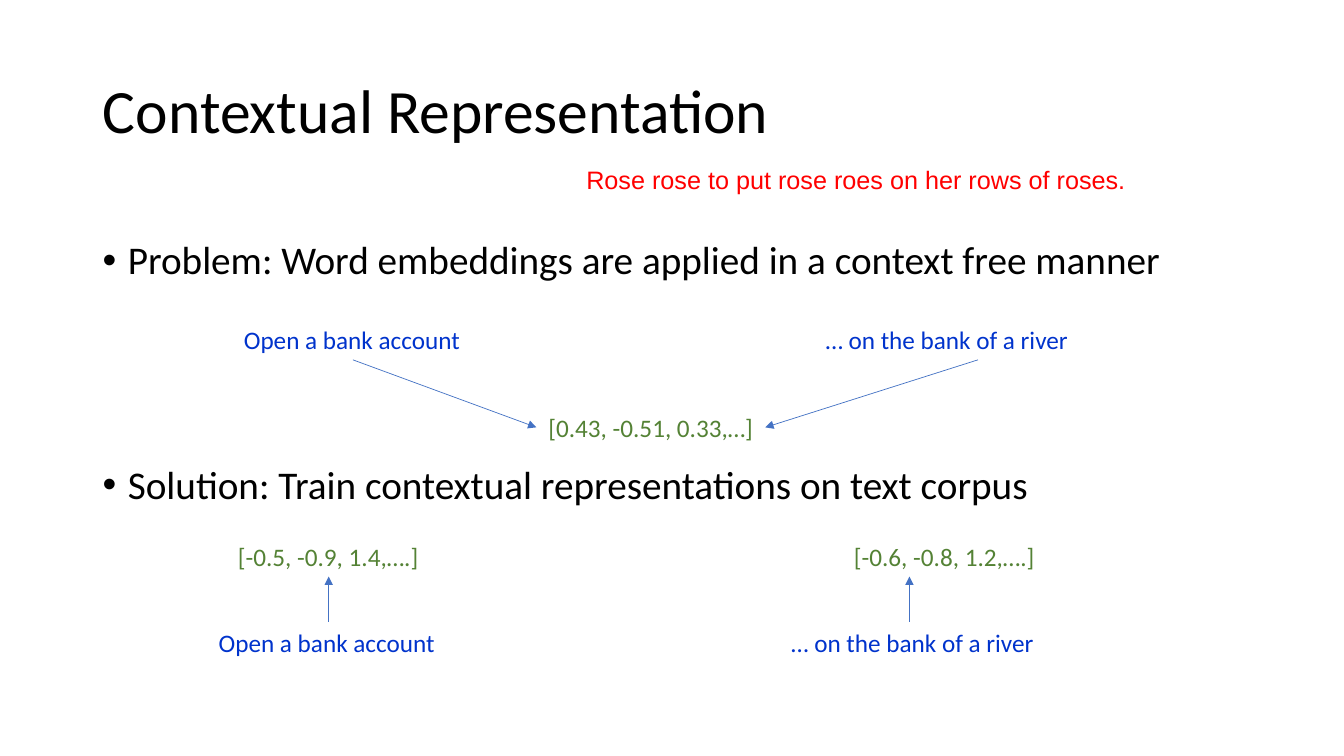
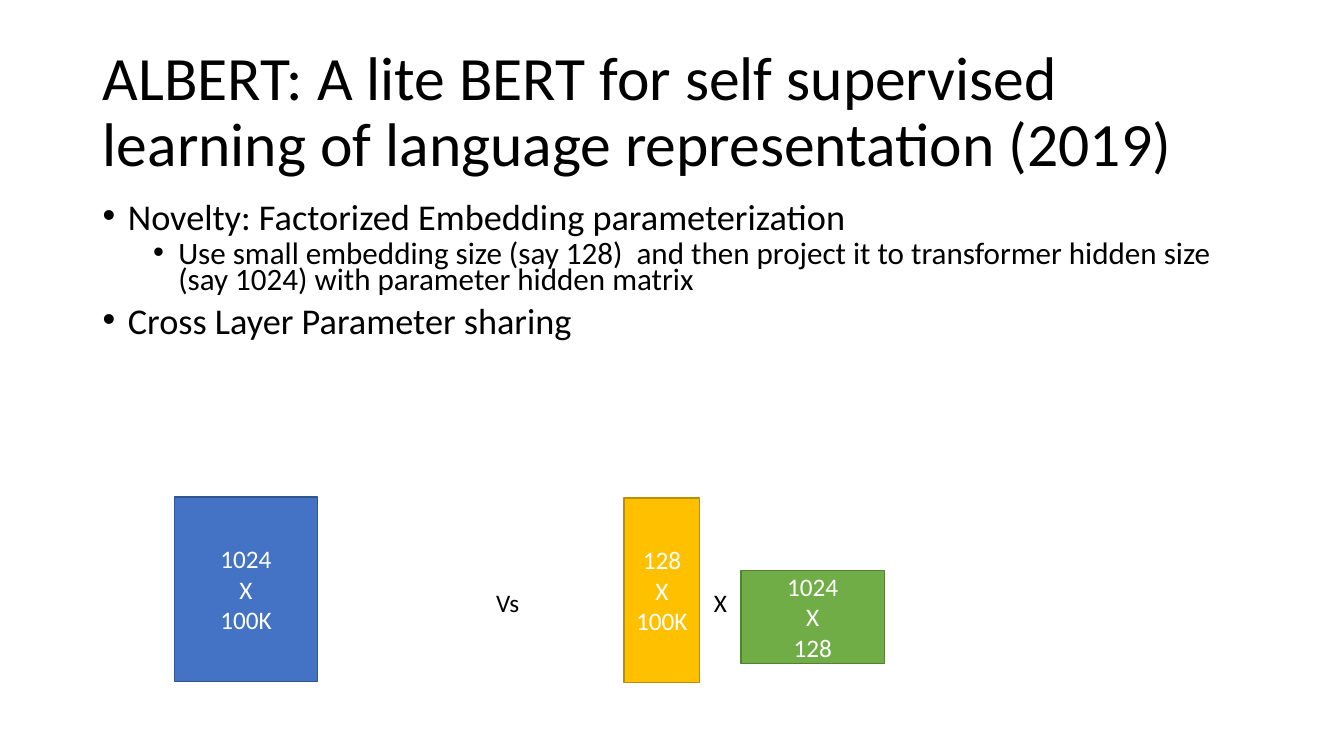
from lxml.etree import SubElement
from pptx import Presentation
from pptx.dml.color import RGBColor
from pptx.enum.shapes import MSO_CONNECTOR, MSO_SHAPE
from pptx.enum.text import MSO_ANCHOR, MSO_AUTO_SIZE, PP_ALIGN
from pptx.oxml.ns import qn
from pptx.util import Inches, Pt

BLACK = RGBColor(0x00, 0x00, 0x00)
WHITE = RGBColor(0xFF, 0xFF, 0xFF)
RED = RGBColor(0xFF, 0x00, 0x00)
PHRASE_BLUE = RGBColor(0x00, 0x33, 0xCC)
VECTOR_GREEN = RGBColor(0x54, 0x82, 0x35)
BLUE = RGBColor(0x44, 0x72, 0xC4)
BLUE_EDGE = RGBColor(0x32, 0x54, 0x91)
GOLD = RGBColor(0xFF, 0xC0, 0x00)
GOLD_EDGE = RGBColor(0xBD, 0x8E, 0x00)
GREEN = RGBColor(0x70, 0xAD, 0x47)
GREEN_EDGE = RGBColor(0x53, 0x80, 0x35)

FONT = "Calibri"
MARGIN, CONTENT_WIDTH = 0.92, 11.5
LABEL_HEIGHT = 0.4
ACCOUNT, ACCOUNT_WIDTH = "Open a bank account", 2.34
RIVER, RIVER_WIDTH = "… on the bank of a river", 2.6


def add_run(p, text, size, color, font=FONT):
    r = p.add_run()
    r.text = text
    r.font.name = font
    r.font.size = Pt(size)
    r.font.color.rgb = color


def add_titled_slide(prs, title):
    s = prs.slides.add_slide(prs.slide_layouts[5])
    sp = s.shapes.title
    sp.left, sp.top = Inches(MARGIN), Inches(0.4)
    sp.width, sp.height = Inches(CONTENT_WIDTH), Inches(1.45)
    tf = sp.text_frame
    tf.auto_size = MSO_AUTO_SIZE.NONE
    tf.word_wrap = True
    tf.vertical_anchor = MSO_ANCHOR.MIDDLE
    p = tf.paragraphs[0]
    p.alignment = PP_ALIGN.LEFT
    p.line_spacing = 0.9
    add_run(p, title, 44, BLACK)
    return s


def add_bullets(s, top, height, items, line_spacing):
    """Each item is (text, level, size, space before in points)."""
    box = s.shapes.add_textbox(Inches(MARGIN), Inches(top),
                               Inches(CONTENT_WIDTH), Inches(height))
    tf = box.text_frame
    tf.word_wrap = True
    for i, (text, level, size, before) in enumerate(items):
        p = tf.add_paragraph() if i else tf.paragraphs[0]
        p.level = level
        p.line_spacing = line_spacing
        p.space_before = Pt(before)
        pPr = p._p.get_or_add_pPr()
        pPr.set("marL", str(Inches(0.25 + 0.5 * level)))
        pPr.set("indent", str(Inches(-0.25)))
        SubElement(pPr, qn("a:buFont")).set("typeface", "Arial")
        SubElement(pPr, qn("a:buChar")).set("char", "•")
        add_run(p, text, size, BLACK)


def add_label(s, left, top, width, text, color, font=FONT):
    """One centred line that may use the full width of its box."""
    box = s.shapes.add_textbox(Inches(left), Inches(top),
                               Inches(width), Inches(LABEL_HEIGHT))
    tf = box.text_frame
    tf.word_wrap = False
    tf.margin_left = tf.margin_right = 0
    p = tf.paragraphs[0]
    p.alignment = PP_ALIGN.CENTER
    add_run(p, text, 18, color, font)


def add_arrow(s, x1, y1, x2, y2):
    line = s.shapes.add_connector(MSO_CONNECTOR.STRAIGHT, Inches(x1), Inches(y1),
                                  Inches(x2), Inches(y2))
    line.line.color.rgb = BLUE
    line.line.width = Pt(0.5)
    spPr = line._element.spPr
    SubElement(spPr.get_or_add_ln(), qn("a:tailEnd")).set("type", "triangle")
    SubElement(spPr, qn("a:effectLst"))


def add_shared_vector(s, left, top):
    """Two phrases pointing at one context-free vector."""
    phrase_bottom = top + LABEL_HEIGHT
    vector_left, vector_top, vector_width = left + 3, top + 0.87, 2.27
    vector_middle = vector_top + LABEL_HEIGHT / 2
    add_label(s, left, top, ACCOUNT_WIDTH, ACCOUNT, PHRASE_BLUE)
    add_label(s, left + 5.77, top, RIVER_WIDTH, RIVER, PHRASE_BLUE)
    add_label(s, vector_left, vector_top, vector_width,
              "[0.43, -0.51, 0.33,…]", VECTOR_GREEN)
    add_arrow(s, left + 1.18, phrase_bottom, vector_left, vector_middle)
    add_arrow(s, left + 7.38, phrase_bottom, vector_left + vector_width, vector_middle)


def add_own_vector(s, left, top, width, phrase, vector, vector_left, arrow_x):
    """A phrase below the contextual vector it points up to."""
    phrase_top = top + 0.85
    add_label(s, vector_left, top, 2.19, vector, VECTOR_GREEN)
    add_label(s, left, phrase_top, width, phrase, PHRASE_BLUE)
    add_arrow(s, arrow_x, phrase_top, arrow_x, top + LABEL_HEIGHT)


def add_matrix(s, left, top, width, height, rows, columns, fill, edge):
    sp = s.shapes.add_shape(MSO_SHAPE.RECTANGLE, Inches(left), Inches(top),
                            Inches(width), Inches(height))
    sp.shadow.inherit = False
    sp.fill.solid()
    sp.fill.fore_color.rgb = fill
    sp.line.color.rgb = edge
    sp.line.width = Pt(1)
    tf = sp.text_frame
    tf.word_wrap = True
    tf.vertical_anchor = MSO_ANCHOR.MIDDLE
    for i, text in enumerate((rows, "X", columns)):
        p = tf.add_paragraph() if i else tf.paragraphs[0]
        p.alignment = PP_ALIGN.CENTER
        add_run(p, text, 18, WHITE)


def add_factorization(s, left, top):
    """The full embedding matrix against its two factors."""
    add_matrix(s, left, top, 1.42, 1.83, "1024", "100K", BLUE, BLUE_EDGE)
    add_label(s, left + 3.09, top + 0.85, 0.43, "Vs", BLACK)
    add_matrix(s, left + 4.46, top + 0.01, 0.75, 1.83, "128", "100K", GOLD, GOLD_EDGE)
    add_label(s, left + 5.25, top + 0.85, 0.33, "X", BLACK)
    add_matrix(s, left + 5.62, top + 0.73, 1.42, 0.92, "1024", "128", GREEN, GREEN_EDGE)


def add_contextual_slide(prs):
    s = add_titled_slide(prs, "Contextual Representation")
    add_bullets(s, 2.34, 4.76, [
        ("Problem: Word embeddings are applied in a context free manner", 0, 28, 0),
        ("Solution: Train contextual representations on text corpus", 0, 28, 130),
    ], 0.9)
    add_shared_vector(s, 2.32, 3.17)
    add_own_vector(s, 2.07, 5.32, ACCOUNT_WIDTH, ACCOUNT,
                   "[-0.5, -0.9, 1.4,….]", 2.16, 3.26)
    add_own_vector(s, 7.75, 5.32, RIVER_WIDTH, RIVER,
                   "[-0.6, -0.8, 1.2,….]", 8.27, 9.02)
    add_label(s, 5.72, 1.58, 5.54,
              "Rose rose to put rose roes on her rows of roses.", RED, "Arial")


def add_albert_slide(prs):
    s = add_titled_slide(prs, "ALBERT: A lite BERT for self supervised "
                              "learning of language representation (2019)")
    add_bullets(s, 2, 1.56, [
        ("Novelty: Factorized Embedding parameterization", 0, 25.9, 0),
        ("Use small embedding size (say 128)  and then project it to transformer "
         "hidden size (say 1024) with parameter hidden matrix", 1, 22.2, 5),
        ("Cross Layer Parameter sharing", 0, 25.9, 10),
    ], 0.7)
    add_factorization(s, 1.73, 4.93)


def main():
    prs = Presentation()
    prs.slide_width, prs.slide_height = Inches(13.33), Inches(7.5)
    add_contextual_slide(prs)
    add_albert_slide(prs)
    prs.save("out.pptx")


if __name__ == "__main__":
    main()
